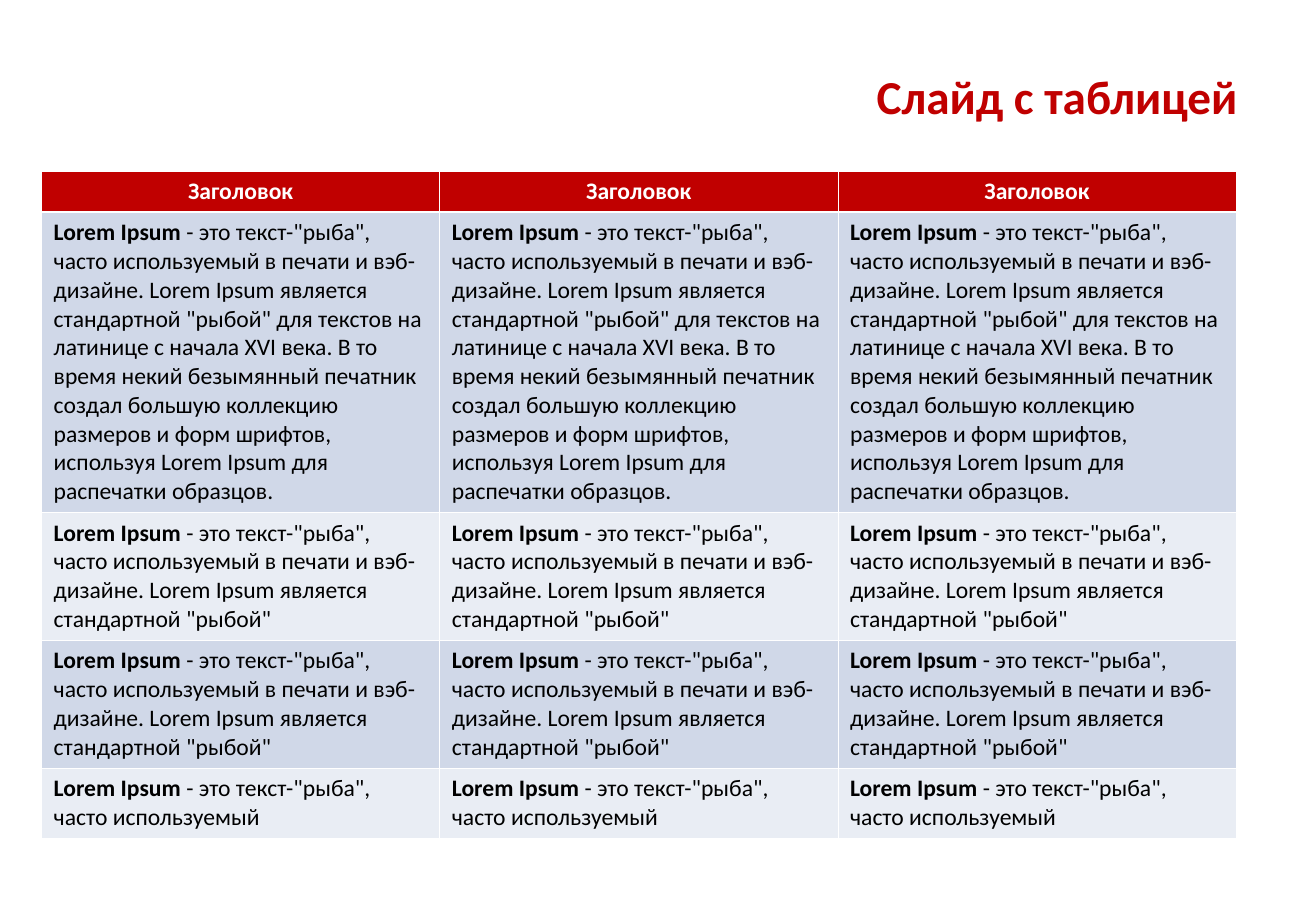
from dataclasses import dataclass

from lxml import etree
from pptx import Presentation
from pptx.dml.color import RGBColor
from pptx.enum.text import MSO_ANCHOR, MSO_AUTO_SIZE, PP_ALIGN
from pptx.oxml.ns import qn
from pptx.util import Cm, Pt

CENTER, LEFT, RIGHT = PP_ALIGN.CENTER, PP_ALIGN.LEFT, PP_ALIGN.RIGHT
MIDDLE = MSO_ANCHOR.MIDDLE
NO_AUTOFIT = MSO_AUTO_SIZE.NONE

FONT = "Calibri"
RED, WHITE, BLACK = "C00000", "FFFFFF", "000000"
BAND_DARK, BAND_LIGHT = "D0D8E8", "E9EDF4"
COLUMNS = 3
COLUMN_WIDTH = 8.33
THIN, THICK = 0.45, 1.47

LEAD = "Lorem Ipsum"
SHORT = ' - это текст-"рыба", часто используемый'
MEDIUM = SHORT + ' в печати и вэб-дизайне. Lorem Ipsum является стандартной "рыбой"'
LONG = MEDIUM + (
    " для текстов на латинице с начала XVI века. В то время некий безымянный "
    "печатник создал большую коллекцию размеров и форм шрифтов, используя "
    "Lorem Ipsum для распечатки образцов."
)


@dataclass
class TableRow:
    height: float
    fill: str
    lead: str
    rest: str = ""
    color: str = BLACK
    align: PP_ALIGN = LEFT
    top: float = THIN
    bottom: float = THIN


ROWS = [
    TableRow(0.86, RED, "Заголовок", color=WHITE, align=CENTER, bottom=THICK),
    TableRow(6.28, BAND_DARK, LEAD, LONG, top=THICK),
    TableRow(2.67, BAND_LIGHT, LEAD, MEDIUM),
    TableRow(2.67, BAND_DARK, LEAD, MEDIUM),
    TableRow(1.47, BAND_LIGHT, LEAD, SHORT),
]


def rgb(value: str) -> RGBColor:
    return RGBColor.from_string(value)


def format_paragraph(p, size: float, color: str, align: PP_ALIGN) -> None:
    p.alignment = align
    p.font.name = FONT
    p.font.size = Pt(size)
    p.font.color.rgb = rgb(color)


def add_border(cell, side: str, width: float) -> None:
    line = etree.SubElement(cell._tc.get_or_add_tcPr(), qn(f"a:ln{side}"), w=str(Pt(width)))
    fill = etree.SubElement(line, qn("a:solidFill"))
    etree.SubElement(fill, qn("a:srgbClr"), val=WHITE)


def fill_cell(cell, row: TableRow) -> None:
    # Borders come before the fill in the cell properties
    for side, width in (("L", THIN), ("R", THIN), ("T", row.top), ("B", row.bottom)):
        add_border(cell, side, width)
    cell.fill.solid()
    cell.fill.fore_color.rgb = rgb(row.fill)
    p = cell.text_frame.paragraphs[0]
    format_paragraph(p, 14, row.color, row.align)
    for text, bold in ((row.lead, True), (row.rest, False)):
        if text:
            r = p.add_run()
            r.text = text
            r.font.bold = bold


def add_title(slide, text: str) -> None:
    sp = slide.shapes.title
    sp.left, sp.top, sp.width, sp.height = Cm(1.37), Cm(1.22), Cm(24.77), Cm(1.55)
    tf = sp.text_frame
    tf.auto_size = NO_AUTOFIT
    tf.vertical_anchor = MIDDLE
    p = tf.paragraphs[0]
    p.text = text
    format_paragraph(p, 28, RED, RIGHT)
    p.font.bold = True


def add_text_table(slide, rows: list[TableRow]) -> None:
    height = sum(row.height for row in rows)
    table = slide.shapes.add_table(
        len(rows), COLUMNS, Cm(0.87), Cm(3.58), Cm(COLUMNS * COLUMN_WIDTH), Cm(height)
    ).table
    table.horz_banding = False
    for column in table.columns:
        column.width = Cm(COLUMN_WIDTH)
    for table_row, row in zip(table.rows, rows):
        table_row.height = Cm(row.height)
        for cell in table_row.cells:
            fill_cell(cell, row)


def main() -> None:
    prs = Presentation()
    prs.slide_width, prs.slide_height = Cm(27.53), Cm(19.05)
    slide = prs.slides.add_slide(prs.slide_layouts[5])
    add_title(slide, "Слайд с таблицей")
    add_text_table(slide, ROWS)
    prs.save("out.pptx")


if __name__ == "__main__":
    main()
